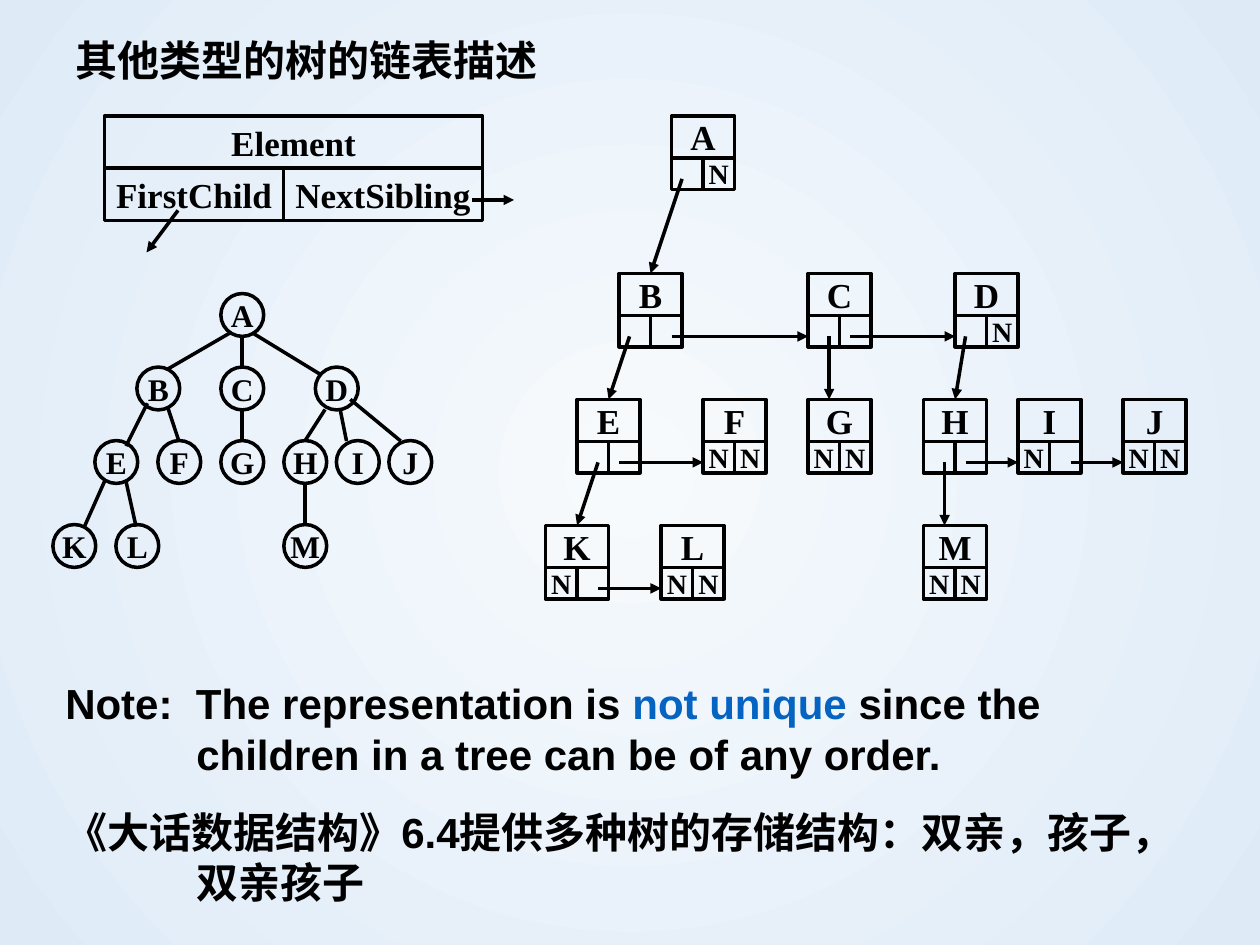
from lxml import etree
from pptx import Presentation
from pptx.dml.color import RGBColor
from pptx.enum.shapes import MSO_CONNECTOR, MSO_SHAPE
from pptx.enum.text import MSO_ANCHOR, MSO_AUTO_SIZE, PP_ALIGN
from pptx.oxml.ns import qn
from pptx.util import Inches, Pt

RECT, OVAL = MSO_SHAPE.RECTANGLE, MSO_SHAPE.OVAL
LINE = MSO_CONNECTOR.STRAIGHT
LEFT, CENTER = PP_ALIGN.LEFT, PP_ALIGN.CENTER
TOP, MIDDLE = MSO_ANCHOR.TOP, MSO_ANCHOR.MIDDLE
COLORS = {"ink": "000000", "accent": "0563C1", "inner": "F7FAFD", "outer": "DEEBF7"}
SERIF, SANS = "Times New Roman", "Arial"
UNIT = Inches(1) // 12  # grid step of both trees

# Column of each node in each row, in grid steps
TREE = {0: {"A": 16}, 7: {"B": 8, "C": 16, "D": 25},
        14: {"E": 4, "F": 10, "G": 16, "H": 22, "I": 27, "J": 32},
        22: {"K": 0, "L": 6, "M": 22}}
# Edge ends in inches from the corner of the tree
EDGES = [(1.5, 0.34, 1.5, 0.59), (1.5, 0.92, 1.5, 1.17), (2, 1.5, 2, 1.84),
         (1.41, 0.31, 0.91, 0.6), (1.58, 0.31, 2.12, 0.64),
         (0.75, 0.87, 0.58, 1.21), (0.91, 0.9, 1, 1.17),
         (0.41, 1.49, 0.25, 1.85), (0.58, 1.49, 0.66, 1.85),
         (2.16, 0.92, 2, 1.17), (2.28, 0.92, 2.33, 1.17),
         (2.36, 0.84, 2.76, 1.17)]

CELLS = {0: {"A": 12}, 15: {"B": 7, "C": 25, "D": 39},
         27: {"E": 3, "F": 15, "G": 25, "H": 36, "I": 45, "J": 55},
         39: {"K": 0, "L": 11, "M": 36}}
# Nodes whose left or right pointer is null
NULLS = ("KFGIJLM", "ADFGJLM")
# Parent, first child, start and end offset in grid steps
CHILD = [("A", "B", 1, 3), ("B", "E", 1, 3), ("E", "K", 2, 3),
         ("C", "G", 2, 2), ("H", "M", 2, 2), ("D", "H", 1, 3)]
# Node, next sibling, start offset in grid steps
NEXT = [("B", "C", 5), ("E", "F", 4), ("K", "L", 5),
        ("C", "D", 4), ("H", "I", 4), ("I", "J", 5)]


def rgb(name):
    return RGBColor.from_string(COLORS[name])


def write(shape, *runs, size=24, font=SERIF, align=LEFT, anchor=TOP, wrap=True, hang=0):
    """Fill a shape with one bold paragraph; each run is text or (text, color)."""
    frame = shape.text_frame
    frame.word_wrap, frame.vertical_anchor = wrap, anchor
    frame.auto_size = MSO_AUTO_SIZE.NONE
    para = frame.paragraphs[0]
    para.alignment = align
    if hang:
        props = para._p.get_or_add_pPr()
        props.set("marL", str(hang))
        props.set("indent", str(-hang))
    for item in runs:
        text, color = item if isinstance(item, tuple) else (item, "ink")
        run = para.add_run()
        run.text = text
        run.font.size, run.font.name, run.font.bold = Pt(size), font, True
        run.font.color.rgb = rgb(color)


def box(group, kind, x, y, w, h, text="", size=20):
    shape = group.shapes.add_shape(kind, x, y, w, h)
    shape.shadow.inherit = False
    shape.fill.background()
    shape.line.color.rgb = rgb("ink")
    shape.line.width = Pt(2)
    if text:
        frame = shape.text_frame
        frame.margin_left = frame.margin_right = 0
        frame.margin_top = frame.margin_bottom = 0
        write(shape, text, size=size, align=CENTER, anchor=MIDDLE, wrap=False)


def link(group, x1, y1, x2, y2, arrow=True):
    line = group.shapes.add_connector(LINE, x1, y1, x2, y2)
    line.line.color.rgb = rgb("ink")
    line.line.width = Pt(2)
    props = line.element.spPr
    if arrow:
        etree.SubElement(props.find(qn("a:ln")), qn("a:tailEnd"), type="triangle")
    etree.SubElement(props, qn("a:effectLst"))


def paint(slide):
    """Give the slide a radial background."""
    fill = slide.background.fill
    fill.gradient()
    for stop, name, pos in zip(fill.gradient_stops, ("inner", "outer"), (0, 1)):
        stop.color.rgb, stop.position = rgb(name), pos
    grad = slide.element.find(".//" + qn("a:gradFill"))
    grad.remove(grad.find(qn("a:lin")))
    round_ = etree.SubElement(grad, qn("a:path"), path="circle")
    etree.SubElement(round_, qn("a:fillToRect"), l="50000", t="50000", r="50000", b="50000")


def head(slide, x, y, w, h):
    title = slide.shapes.title
    title.left, title.top, title.width, title.height = x, y, w, h
    write(title, "其他类型的树的链表描述")


def record(slide, x, y, w, h):
    """Draw the layout of a node: element above two pointers."""
    group = slide.shapes.add_group_shape()
    row, split = h // 2, Inches(1.42)
    box(group, RECT, x, y + row, split, row, "FirstChild")
    box(group, RECT, x + split, y + row, w - split, row, "NextSibling")
    box(group, RECT, x, y, w, row, "Element")
    link(group, x + 7 * UNIT, y + 9 * UNIT, x + 4 * UNIT, y + 13 * UNIT)
    link(group, x + 35 * UNIT, y + 8 * UNIT, x + 39 * UNIT, y + 8 * UNIT)


def tree(slide, x, y):
    group = slide.shapes.add_group_shape()
    side = Inches(0.34)
    for row, nodes in TREE.items():
        for name, col in nodes.items():
            box(group, OVAL, x + col * UNIT, y + row * UNIT, side, side, name, 18)
    for x1, y1, x2, y2 in EDGES:
        link(group, x + Inches(x1), y + Inches(y1),
             x + Inches(x2), y + Inches(y2), arrow=False)


def chain(slide, x, y):
    """Draw the linked first-child and next-sibling records."""
    group = slide.shapes.add_group_shape()
    spots = {}
    for row, nodes in CELLS.items():
        for name, col in nodes.items():
            left, top = spots[name] = x + col * UNIT, y + row * UNIT
            for i, empty in enumerate(NULLS):
                box(group, RECT, left + 3 * i * UNIT, top + 4 * UNIT, 3 * UNIT, 3 * UNIT,
                    "N" if name in empty else "", 16)
            box(group, RECT, left, top, 6 * UNIT, 4 * UNIT, name)
    for name, kid, start, end in CHILD:
        (x1, y1), (x2, y2) = spots[name], spots[kid]
        link(group, x1 + start * UNIT, y1 + 6 * UNIT, x2 + end * UNIT, y2)
    for name, peer, start in NEXT:
        (x1, y1), (x2, y2) = spots[name], spots[peer]
        link(group, x1 + start * UNIT, y1 + 6 * UNIT, x2, y2 + 6 * UNIT)


def note(slide, x, y, w, h, *runs):
    write(slide.shapes.add_textbox(x, y, w, h), *runs, font=SANS, hang=Inches(1.04))


def main():
    deck = Presentation()
    deck.slide_width, deck.slide_height = Inches(10), Inches(7.5)
    slide = deck.slides.add_slide(deck.slide_layouts[5])
    paint(slide)
    head(slide, Inches(0.5), Inches(0.22), Inches(5.5), Inches(0.5))
    record(slide, Inches(0.83), Inches(0.92), Inches(3), Inches(0.83))
    tree(slide, Inches(0.42), Inches(2.33))
    chain(slide, Inches(4.33), Inches(0.92))
    note(slide, Inches(0.42), Inches(5.33), Inches(8.67), Inches(0.9),
         "Note:  The representation is ", ("not unique", "accent"),
         " since the children in a tree can be of any order.")
    note(slide, Inches(0.42), Inches(6.35), Inches(8.67), Inches(0.9),
         "《大话数据结构》6.4提供多种树的存储结构：双亲，孩子，双亲孩子")
    deck.save("out.pptx")


if __name__ == "__main__":
    main()
